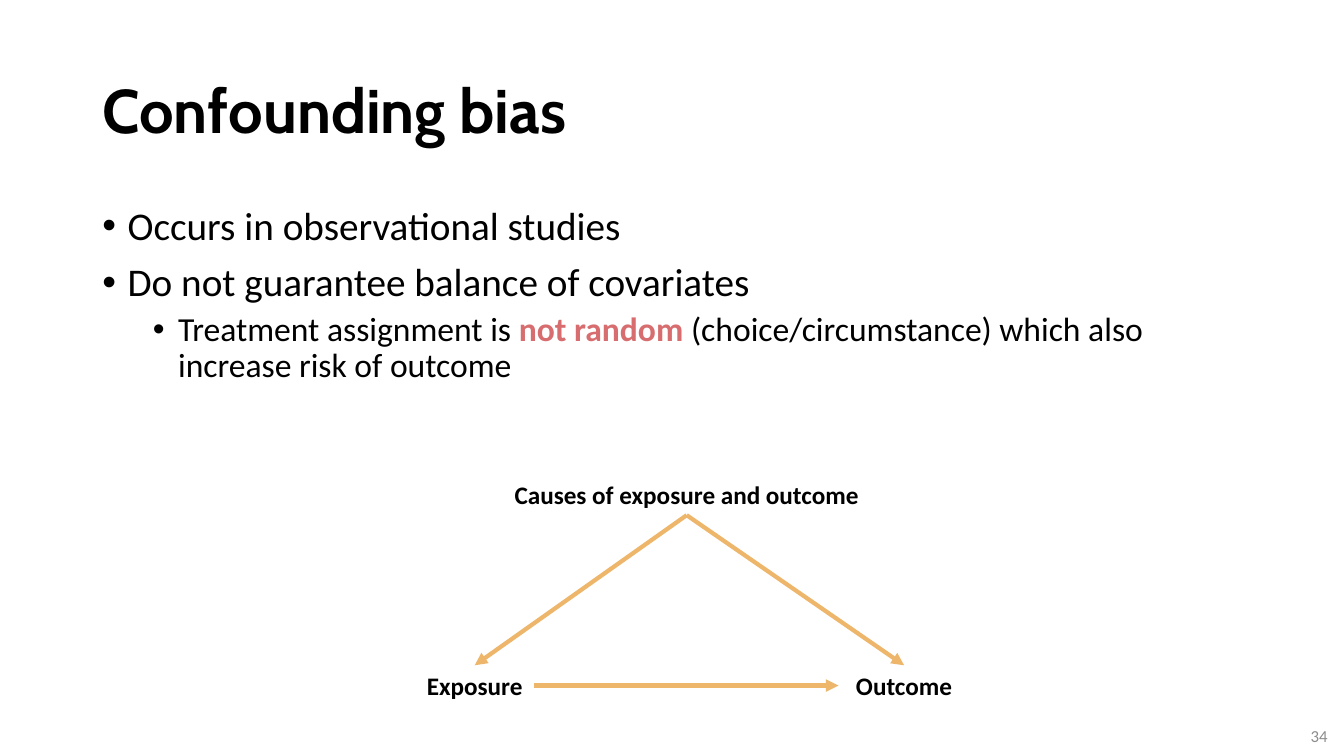
from lxml.etree import SubElement
from pptx import Presentation
from pptx.dml.color import RGBColor
from pptx.enum.shapes import MSO_CONNECTOR
from pptx.enum.text import MSO_ANCHOR, MSO_AUTO_SIZE, PP_ALIGN
from pptx.oxml.ns import qn
from pptx.util import Pt

TOP, LEFT, BOTTOM, RIGHT = range(4)  # connection sites of a text box


def color(hex_code):
    return RGBColor.from_string(hex_code)


class CausalSlide:
    heading_font = "Cabin"
    text_font = "Calibri"
    ink = "000000"
    accent = "D76D6F"
    arrow_color = "EEB66B"
    muted = "8C8C8C"

    def __init__(self, presentation):
        self.slide = presentation.slides.add_slide(presentation.slide_layouts[1])

    def style(self, run, size, hex_code=ink, bold=False, font=text_font):
        run.font.name = font
        run.font.size = Pt(size)
        run.font.bold = bold
        run.font.color.rgb = color(hex_code)

    def place(self, shape, left, top, width, height, anchor):
        shape.left, shape.top = Pt(left), Pt(top)
        shape.width, shape.height = Pt(width), Pt(height)
        frame = shape.text_frame
        frame.word_wrap = True
        frame.auto_size = MSO_AUTO_SIZE.NONE
        frame.vertical_anchor = anchor
        return frame

    def title(self, wording):
        frame = self.place(self.slide.shapes.title, 66, 29, 828, 104.4, MSO_ANCHOR.MIDDLE)
        frame.text = wording
        heading = frame.paragraphs[0]
        heading.alignment = PP_ALIGN.LEFT
        heading.line_spacing = 0.9
        self.style(heading.runs[0], 44, bold=True, font=self.heading_font)

    def bullets(self, points):
        """Fill the body with (level, [(wording, emphasised), ...]) points."""
        frame = self.place(self.slide.placeholders[1], 66, 144, 828, 342.7, MSO_ANCHOR.TOP)
        for index, (level, parts) in enumerate(points):
            point = frame.add_paragraph() if index else frame.paragraphs[0]
            point.level = level
            point.alignment = PP_ALIGN.LEFT
            point.line_spacing = 0.9
            point.space_before = Pt((10, 5)[level] if index else 0)
            properties = point._p.get_or_add_pPr()
            properties.set("marL", str(Pt(18 + 36 * level)))
            properties.set("indent", str(Pt(-18)))
            SubElement(properties, qn("a:buFont"), typeface="Arial")
            SubElement(properties, qn("a:buChar"), char="•")
            for wording, emphasised in parts:
                run = point.add_run()
                run.text = wording
                self.style(run, (28, 24)[level],
                           self.accent if emphasised else self.ink, emphasised)

    def label(self, wording, left, top, width, size=18, hex_code=ink, bold=True,
              align=PP_ALIGN.CENTER, anchor=MSO_ANCHOR.TOP):
        box = self.slide.shapes.add_textbox(0, 0, 0, 0)
        frame = self.place(box, left, top, width, 29, anchor)
        frame.text = wording
        frame.paragraphs[0].alignment = align
        self.style(frame.paragraphs[0].runs[0], size, hex_code, bold)
        return box

    def arrow(self, cause, cause_site, effect, effect_site):
        link = self.slide.shapes.add_connector(MSO_CONNECTOR.STRAIGHT, 0, 0, 0, 0)
        link.begin_connect(cause, cause_site)
        link.end_connect(effect, effect_site)
        link.line.color.rgb = color(self.arrow_color)
        link.line.width = Pt(3)
        SubElement(link.line._get_or_add_ln(), qn("a:tailEnd"), type="triangle")
        SubElement(link._element.spPr, qn("a:effectLst"))

    def page_number(self, number):
        self.label(number, 739.5, 511, 216, 12, self.muted, False,
                   PP_ALIGN.RIGHT, MSO_ANCHOR.MIDDLE)


def main():
    presentation = Presentation()
    presentation.slide_width, presentation.slide_height = Pt(960), Pt(540)
    page = CausalSlide(presentation)
    page.title("Confounding bias")
    page.bullets([
        (0, [("Occurs in observational studies", False)]),
        (0, [("Do not guarantee balance of covariates", False)]),
        (1, [("Treatment assignment is ", False),
             ("not random ", True),
             ("(choice/circumstance) which also increase risk of outcome", False)]),
    ])
    causes = page.label("Causes of exposure and outcome", 321, 339, 339)
    exposure = page.label("Exposure", 296.6, 475.2, 85)
    outcome = page.label("Outcome", 599, 475.2, 93.6)
    page.arrow(causes, BOTTOM, exposure, TOP)
    page.arrow(exposure, RIGHT, outcome, LEFT)
    page.arrow(causes, BOTTOM, outcome, TOP)
    page.page_number("34")
    presentation.save("out.pptx")


if __name__ == "__main__":
    main()
